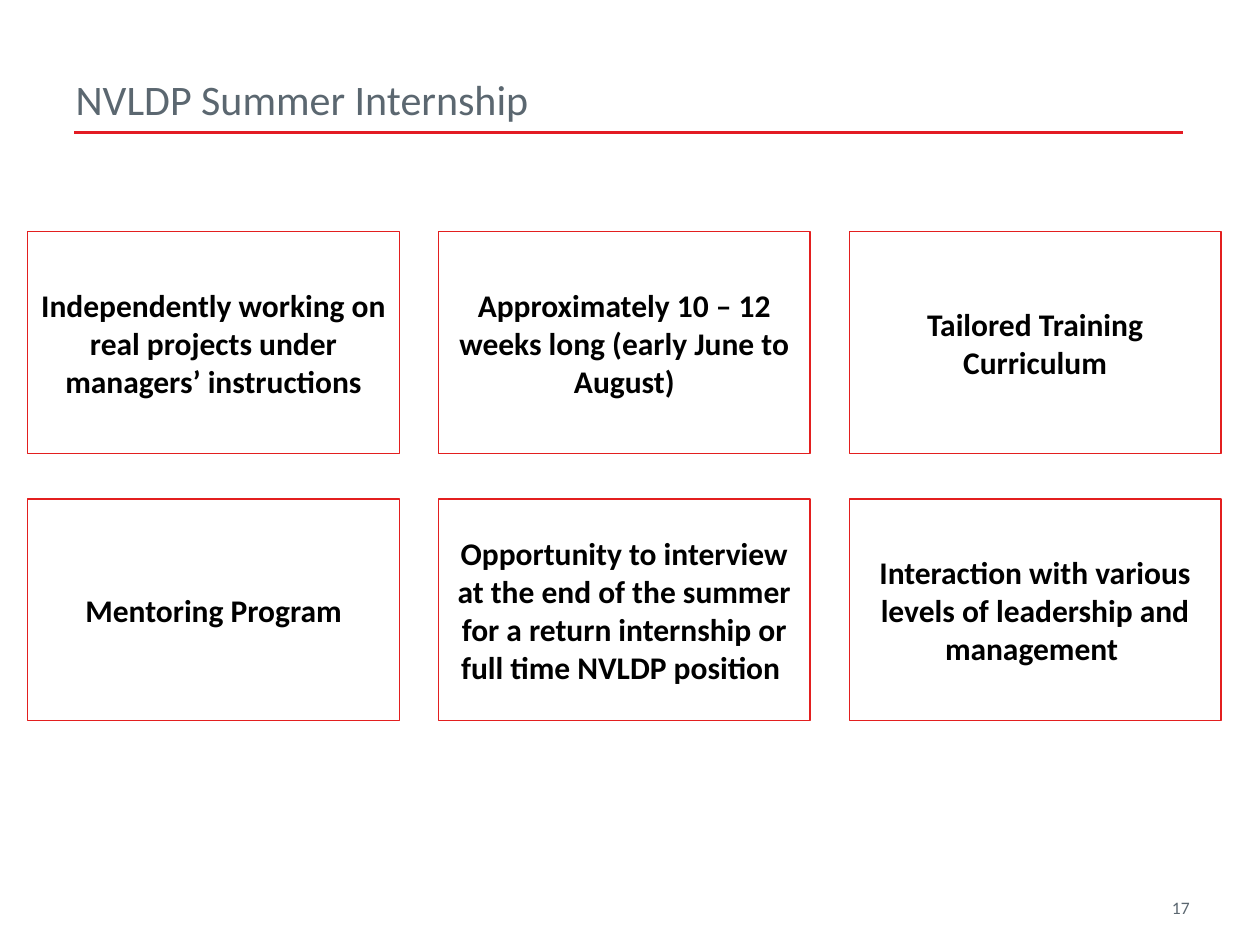
"""Build the NVLDP Summer Internship slide."""
from lxml.etree import SubElement
from pptx import Presentation
from pptx.dml.color import RGBColor
from pptx.enum.shapes import MSO_CONNECTOR, MSO_SHAPE
from pptx.enum.text import MSO_ANCHOR, PP_ALIGN
from pptx.oxml.ns import qn
from pptx.util import Inches, Pt


def rgb(value):
    return RGBColor.from_string(value)


def write(sp, text, size=18, color="000000", bold=False,
          align=PP_ALIGN.CENTER, anchor=MSO_ANCHOR.MIDDLE):
    tf = sp.text_frame
    tf.word_wrap = True
    tf.vertical_anchor = anchor
    p = tf.paragraphs[0]
    p.alignment = align
    r = p.add_run()
    r.text = text
    r.font.name = "Calibri"
    r.font.size = Pt(size)
    r.font.bold = bold
    r.font.color.rgb = rgb(color)


prs = Presentation()
prs.slide_width, prs.slide_height = Inches(10), Inches(7.5)
slide = prs.slides.add_slide(prs.slide_layouts[5])

rule = slide.shapes.add_connector(
    MSO_CONNECTOR.STRAIGHT, Inches(0.59), Inches(1.05), Inches(9.39), Inches(1.05))
rule.line.color.rgb = rgb("E31B23")
rule.line.width = Pt(2)
SubElement(rule._element.spPr, qn("a:effectLst"))

title = slide.shapes.title
title.left, title.top = Inches(0.5), Inches(0.22)
title.width, title.height = Inches(9), Inches(0.81)
write(title, "NVLDP Summer Internship", size=24, color="5B6770",
      align=PP_ALIGN.LEFT, anchor=MSO_ANCHOR.BOTTOM)

number = slide.shapes.add_textbox(Inches(7.21), Inches(7.07), Inches(2.33), Inches(0.28))
write(number, "17", size=10, color="5B6770", align=PP_ALIGN.RIGHT, anchor=MSO_ANCHOR.TOP)

features = [
    "Independently working on real projects under managers’ instructions",
    "Approximately 10 – 12 weeks long (early June to August)",
    "Tailored Training Curriculum",
    "Mentoring Program",
    "Opportunity to interview at the end of the summer for a return internship "
    "or full time NVLDP position ",
    "Interaction with various levels of leadership and management ",
]
for i, text in enumerate(features):
    row, col = divmod(i, 3)
    sp = slide.shapes.add_shape(
        MSO_SHAPE.RECTANGLE, Inches(0.22 + 3.26 * col), Inches(1.84 + 2.12 * row),
        Inches(2.95), Inches(1.76))
    sp.shadow.inherit = False
    sp.fill.background()
    sp.line.color.rgb = rgb("E31F1F")
    sp.line.width = Pt(0.75)
    write(sp, text, bold=True)

prs.save("out.pptx")
